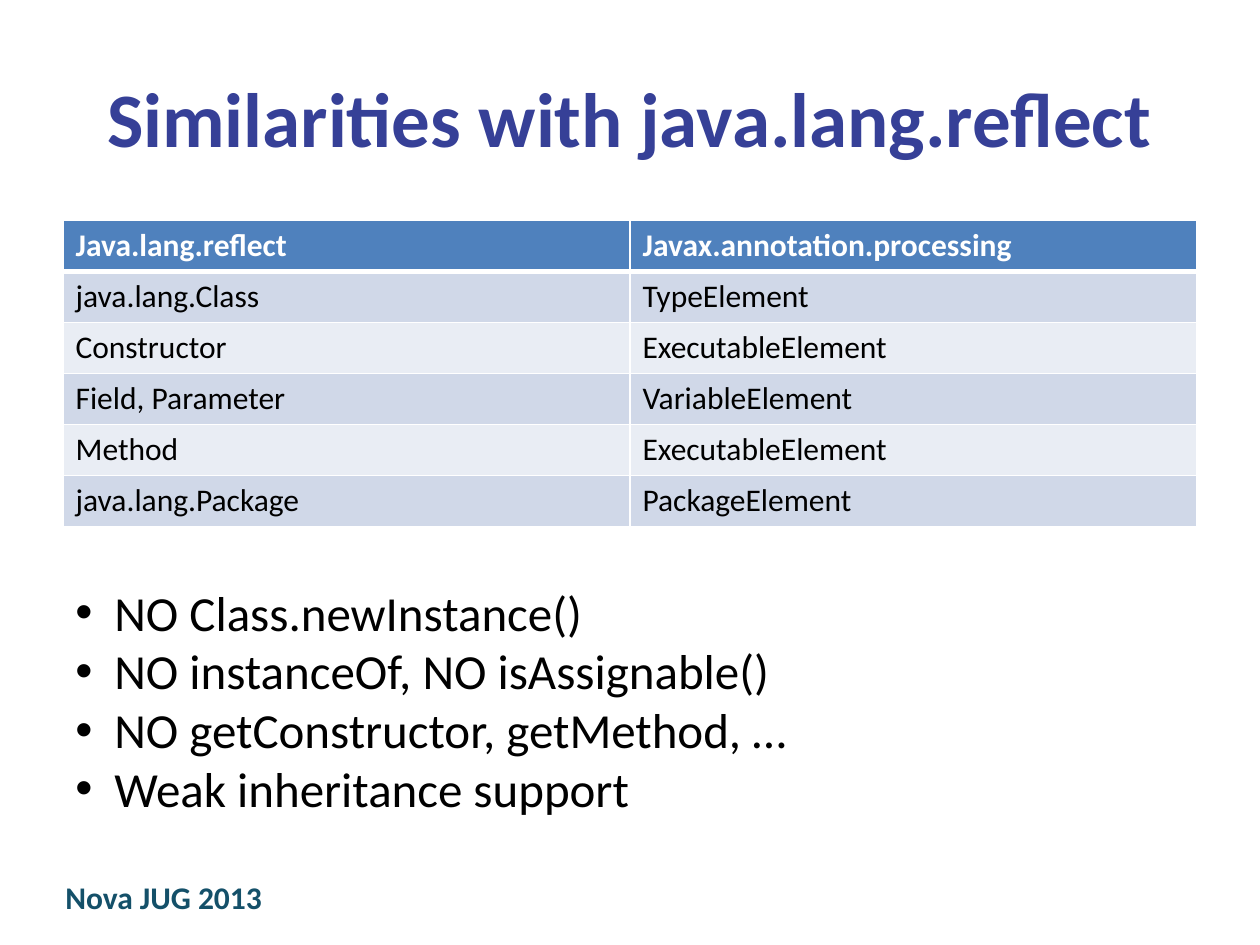
import dataclasses

import lxml.etree
import pptx
import pptx.dml.color
import pptx.enum.text
import pptx.oxml.ns
import pptx.util
from pptx.util import Inches


@dataclasses.dataclass(frozen=True)
class Theme:
    font: str = "Calibri"
    title: str = "364097"
    footer: str = "145069"
    text: str = "000000"
    white: str = "FFFFFF"
    header: str = "4F81BD"
    bands: tuple = ("D0D8E8", "E9EDF4")
    title_size: int = 44
    bullet_size: int = 28
    small_size: int = 18


THEME = Theme()
ROWS = [
    ("Java.lang.reflect", "Javax.annotation.processing"),
    ("java.lang.Class", "TypeElement"),
    ("Constructor", "ExecutableElement"),
    ("Field, Parameter", "VariableElement"),
    ("Method", "ExecutableElement"),
    ("java.lang.Package", "PackageElement"),
]
BULLETS = [
    "NO Class.newInstance()",
    "NO instanceOf, NO isAssignable()",
    "NO getConstructor, getMethod, …",
    "Weak inheritance support",
]


def rgb(color):
    return pptx.dml.color.RGBColor.from_string(color)


def sub(parent, tag, **attrs):
    return lxml.etree.SubElement(parent, pptx.oxml.ns.qn(tag), attrs)


def write(p, text, size=THEME.small_size, color=THEME.text, bold=False, align=None):
    p.alignment = align
    r = p.add_run()
    r.text = text
    r.font.name = THEME.font
    r.font.size = pptx.util.Pt(size)
    r.font.bold = bold
    r.font.color.rgb = rgb(color)


def add_text_frame(s, left, top, width, height):
    tf = s.shapes.add_textbox(Inches(left), Inches(top), Inches(width), Inches(height)).text_frame
    tf.word_wrap = True
    return tf


def add_title(s, text):
    tf = add_text_frame(s, 0.5, 0.3, 9, 1.25)
    tf.vertical_anchor = pptx.enum.text.MSO_ANCHOR.MIDDLE
    write(tf.paragraphs[0], text, size=THEME.title_size, color=THEME.title,
          bold=True, align=pptx.enum.text.PP_ALIGN.CENTER)


def add_footer(s, text):
    tf = add_text_frame(s, 0.42, 6.92, 2.75, 0.42)
    write(tf.paragraphs[0], text, color=THEME.footer, bold=True)


def set_borders(cell, **widths):
    tcPr = cell._tc.get_or_add_tcPr()
    for side in "LRTB":
        width = pptx.util.Pt(widths.get(side, 1))
        ln = sub(tcPr, f"a:ln{side}", w=str(width))
        sub(sub(ln, "a:solidFill"), "a:srgbClr", val=THEME.white)


def add_table(s, rows):
    row_height = Inches(2.43 / len(rows))
    table = s.shapes.add_table(len(rows), 2, Inches(0.5), Inches(1.75),
                               Inches(9), row_height * len(rows)).table
    for i, row in enumerate(rows):
        table.rows[i].height = row_height
        header = i == 0
        for j, text in enumerate(row):
            cell = table.cell(i, j)
            set_borders(cell, T=3 if i == 1 else 1, B=3 if header else 1)
            cell.fill.solid()
            cell.fill.fore_color.rgb = rgb(THEME.header if header else THEME.bands[(i - 1) % 2])
            write(cell.text_frame.paragraphs[0], text, bold=header,
                  color=THEME.white if header else THEME.text)


def add_bullets(s, items):
    tf = add_text_frame(s, 0.5, 4.57, 9, 1.99)
    indent = Inches(0.31)
    for i, text in enumerate(items):
        p = tf.add_paragraph() if i else tf.paragraphs[0]
        write(p, text, size=THEME.bullet_size)
        pPr = p._p.get_or_add_pPr()
        pPr.set("marL", str(indent))
        pPr.set("indent", str(-indent))
        sub(pPr, "a:buFont", typeface="Arial")
        sub(pPr, "a:buChar", char="•")


def main():
    prs = pptx.Presentation()
    prs.slide_width, prs.slide_height = Inches(10), Inches(7.5)
    s = prs.slides.add_slide(prs.slide_layouts[6])
    add_footer(s, "Nova JUG 2013")
    add_title(s, "Similarities with java.lang.reflect")
    add_table(s, ROWS)
    add_bullets(s, BULLETS)
    prs.save("out.pptx")


if __name__ == "__main__":
    main()
